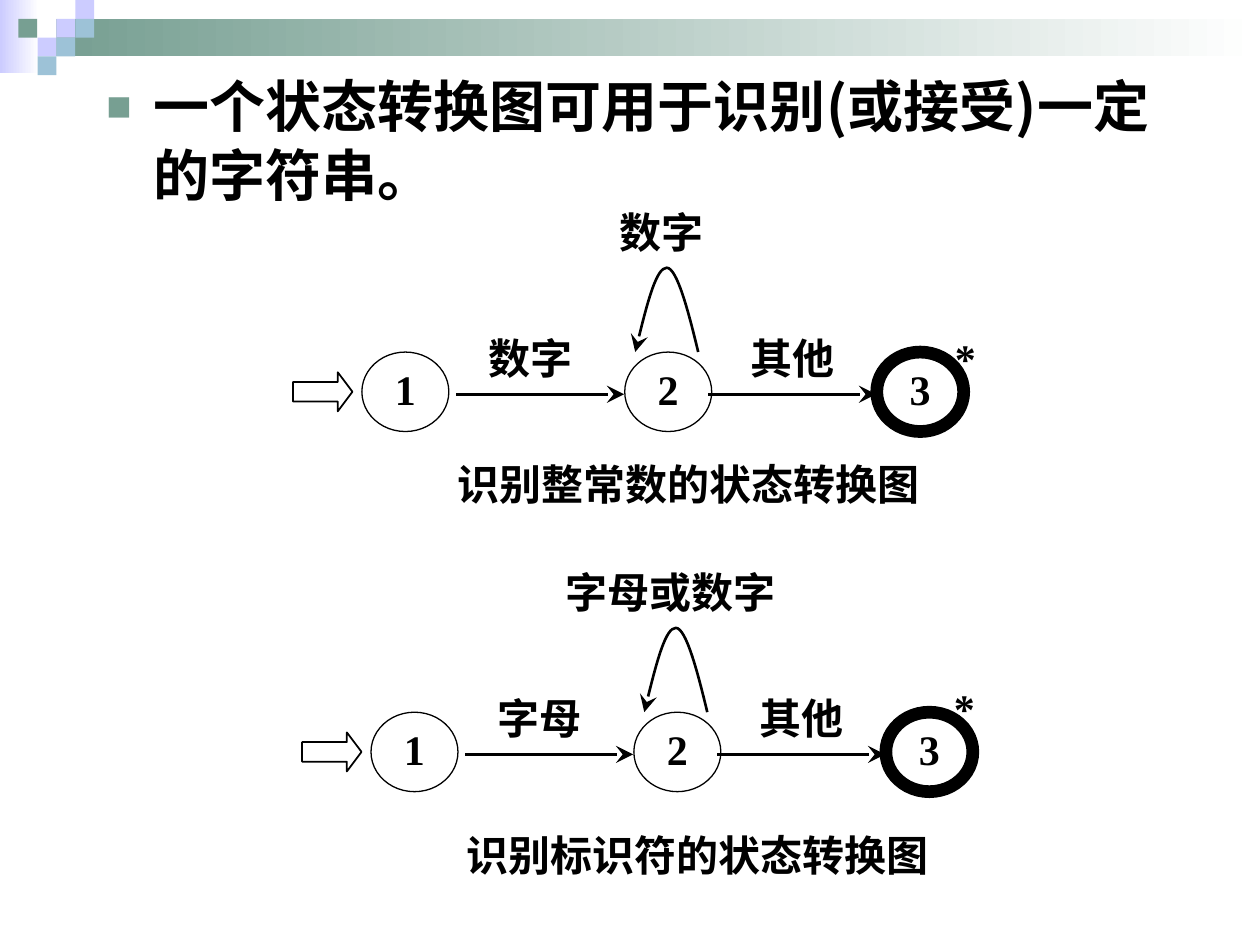
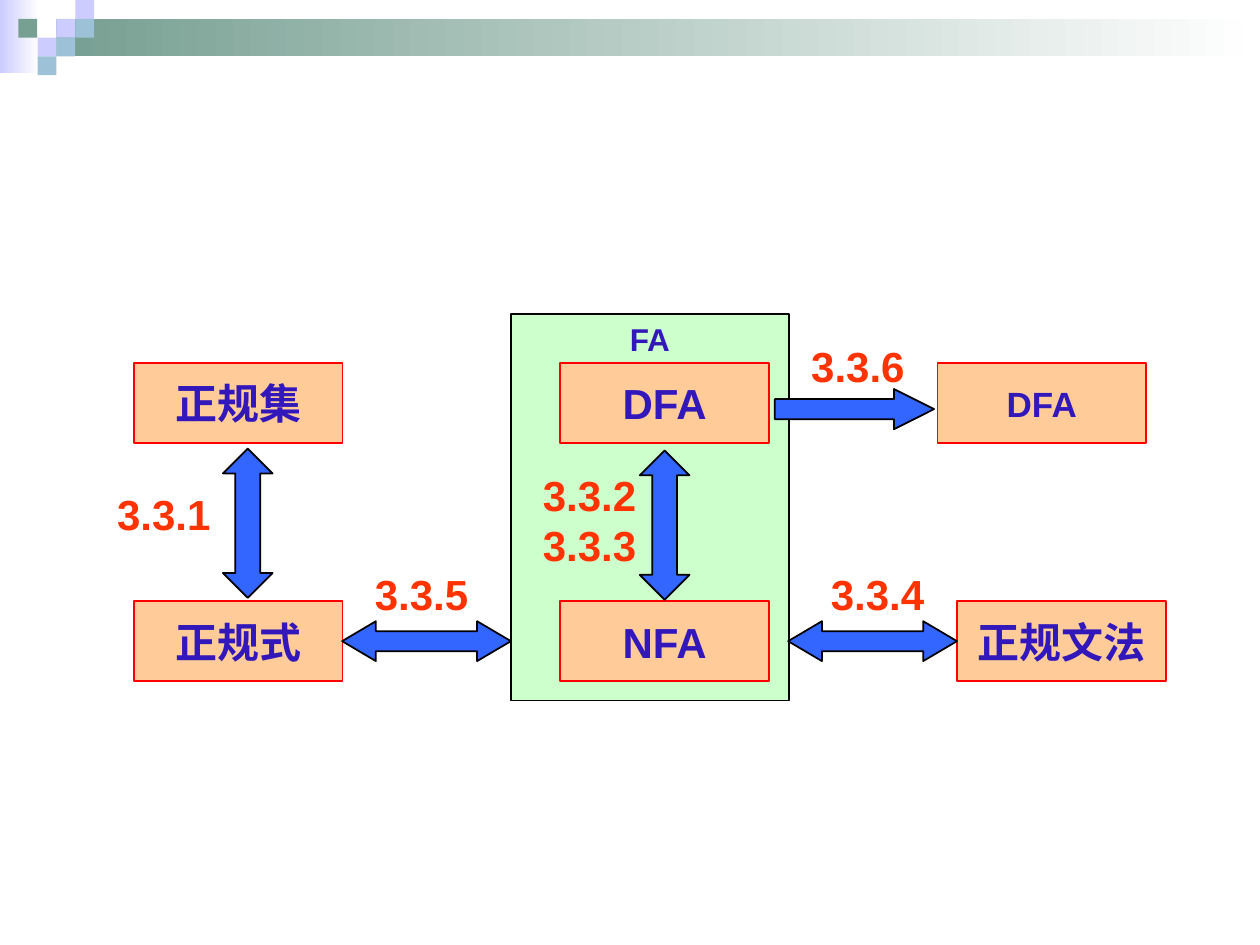
from lxml import etree
from pptx import Presentation
from pptx.dml.color import RGBColor
from pptx.enum import shapes, text
from pptx.oxml import ns
from pptx.util import Pt

BLACK, WHITE, INK = "000000", "FFFFFF", "3217BB"
SAGE, LILAC, SKY = "779F92", "CCCCFF", "9DC2D7"
PEACH, MINT, BLUE, RED, ORANGE = "FFCC99", "CCFFCC", "3366FF", "FF0000", "FF3300"
SERIF, SANS, HAN = "Times New Roman", "Arial", "Noto Sans CJK SC"
SHAPE = shapes.MSO_SHAPE
ANCHOR = text.MSO_ANCHOR
ALIGN = text.PP_ALIGN


def color(code):
    """Turn a hex string into a colour."""
    return RGBColor.from_string(code)


def add_node(parent, tag, **attributes):
    """Append a drawing element to a parent and return it."""
    return etree.SubElement(parent, ns.qn(tag), attributes)


def write(shape, words, *, size=24, font=SERIF, ink=BLACK, align=ALIGN.CENTER,
          anchor=ANCHOR.MIDDLE, inset=(7.2, 3.6), wrap=False):
    """Fill a shape with bold text, one paragraph for each line."""
    frame = shape.text_frame
    frame.word_wrap = wrap
    frame.vertical_anchor = anchor
    frame.margin_left = frame.margin_right = Pt(inset[0])
    frame.margin_top = frame.margin_bottom = Pt(inset[1])
    for index, line in enumerate(words.split("\n")):
        para = frame.add_paragraph() if index else frame.paragraphs[0]
        para.alignment = align
        span = para.add_run()
        span.text = line
        span.font.size, span.font.bold, span.font.name = Pt(size), True, font
        span.font.color.rgb = color(ink)
        add_node(span.font._element, "a:ea", typeface=HAN)
    return frame


def add_box(page, kind, left, top, width, height, *, fill=None, line=None,
            weight=1, adjust=()):
    """Add a preset shape without a shadow."""
    box = page.shapes.add_shape(kind, Pt(left), Pt(top), Pt(width), Pt(height))
    box.shadow.inherit = False
    for index, value in enumerate(adjust):
        box.adjustments[index] = value
    if fill:
        box.fill.solid()
        box.fill.fore_color.rgb = color(fill)
    else:
        box.fill.background()
    if line:
        box.line.color.rgb = color(line)
        box.line.width = Pt(weight)
    else:
        box.line.fill.background()
    return box


def add_label(page, words, left, top, width, height, **style):
    """Add a text box."""
    box = page.shapes.add_textbox(Pt(left), Pt(top), Pt(width), Pt(height))
    return write(box, words, **style)


def add_fade(page, left, top, width, height, start):
    """Add a band that fades to white on the right."""
    band = add_box(page, SHAPE.RECTANGLE, left, top, width, height)
    band.fill.gradient()
    band.fill.gradient_angle = 0
    for stop, code in zip(band.fill.gradient_stops, (start, WHITE)):
        stop.color.rgb = color(code)


def style_arrow(arrow):
    """Give a line its black stroke and large stealth head."""
    arrow.line.color.rgb = color(BLACK)
    arrow.line.width = Pt(1.5)
    add_node(arrow.line._get_or_add_ln(), "a:tailEnd", type="stealth", w="lg", len="lg")


def add_arrow(page, left, right, y):
    """Add a horizontal transition arrow."""
    arrow = page.shapes.add_connector(
        shapes.MSO_CONNECTOR.STRAIGHT, Pt(left), Pt(y), Pt(right), Pt(y))
    style_arrow(arrow)
    add_node(arrow._element.spPr, "a:effectLst")


def add_loop(page, left, top, width, height):
    """Add a bell-shaped arrow that returns to its own state."""
    right, bottom = left + width, top + height
    points = [(left + width * across, top + height * down) for across, down in
              ((0.84, 0.5), (0.66, 0), (0.5, 0), (0.34, 0), (0.16, 0.5), (0, 1))]
    builder = page.shapes.build_freeform(Pt(right), Pt(bottom))
    builder.add_line_segments([(Pt(x), Pt(y)) for x, y in points], close=False)
    loop = builder.convert_to_shape()
    loop.shadow.inherit = False
    loop.fill.background()
    style_arrow(loop)
    outline = loop._element.find(".//" + ns.qn("a:path"))
    segments = outline.findall(ns.qn("a:lnTo"))
    for first in range(0, len(segments), 3):
        curve = add_node(outline, "a:cubicBezTo")
        for segment in segments[first:first + 3]:
            curve.append(segment[0])
            outline.remove(segment)


def add_bullet_text(page, words):
    """Add the square-bulleted statement at the top of a page."""
    frame = add_label(page, words, 53.7, 37, 635.8, 90, size=32, font=HAN,
                      align=ALIGN.LEFT, anchor=ANCHOR.TOP, wrap=True)
    para = frame.paragraphs[0]
    para.line_spacing = Pt(39)
    layout = para._p.get_or_add_pPr()
    layout.set("marL", str(Pt(27)))
    layout.set("indent", str(-Pt(27)))
    add_node(add_node(layout, "a:buClr"), "a:srgbClr", val=SAGE)
    add_node(layout, "a:buSzPct", val="75000")
    add_node(layout, "a:buFont", typeface=SANS)
    add_node(layout, "a:buChar", char="■")


def add_page(deck):
    """Add a blank page with the shared header bands and squares."""
    page = deck.slides.add_slide(deck.slide_layouts[6])
    side = 10.75
    add_fade(page, 0, 0, 22.3, 41.8, LILAC)
    add_fade(page, 3 * side, side, 720 - 3 * side, 21.2, SAGE)
    for column, row, fill in ((3, 1, LILAC), (4, 0, LILAC), (4, 1, SKY), (2, 2, LILAC),
                              (0.97, 1, SAGE), (3, 2, SKY), (2, 3, SKY)):
        add_box(page, SHAPE.RECTANGLE, column * side, row * side, side, side, fill=fill)
    return page


def add_state_diagram(page, left, top, first, repeat, caption, star, caption_drop):
    """Draw a three-state diagram whose first state is at left, top."""
    add_box(page, SHAPE.RIGHT_ARROW, left - 39.4, top + 11.5, 34, 22.3,
            line=BLACK, adjust=(0.5, 0.376))
    for name, offset, weight in (("1", 0, 0.75), ("2", 150.2, 0.75), ("3", 294.2, 7.25)):
        state = add_box(page, SHAPE.OVAL, left + offset, top, 49.7, 45.4,
                        line=BLACK, weight=weight)
        write(state, name, anchor=ANCHOR.TOP, inset=(0, 0))
    for start in (54, 198):
        add_arrow(page, left + start, left + start + 95.8, top + 24.1)
    add_loop(page, left + 156.2, top - 48.2, 36, 48.2)
    for words, across, down, width, height in (
            (first, 56.2, -18, 79.8, 41.8), ("其他", 206.2, -18, 79.8, 41.8),
            (repeat, 104.5, -90, 133.8, 41.8), ("*", *star, 41.8, 30.2),
            (caption, 45.5, caption_drop, 282, 41.8)):
        add_label(page, words, left + across, top + down, width, height, inset=(0, 3.6))


def add_node_box(page, words, left, top, size=24):
    """Add one peach box of the relation map."""
    box = add_box(page, SHAPE.RECTANGLE, left, top, 119.2, 45.8, fill=PEACH, line=RED)
    write(box, words, size=size, font=SANS, ink=INK)


def add_relation_map(page):
    """Draw how regular sets, expressions, grammars and automata relate."""
    upper, lower = 207.4, 343.6
    automata = add_box(page, SHAPE.RECTANGLE, 292, 179.3, 158.7, 221,
                       fill=MINT, line=BLACK)
    write(automata, "FA", size=18, font=SANS, ink=INK, anchor=ANCHOR.TOP)
    for words, left, top in (("正规集", 76.5, upper), ("正规式", 76.5, lower),
                             ("DFA", 320.2, upper), ("NFA", 320.2, lower),
                             ("正规文法", 547, lower)):
        add_node_box(page, words, left, top)
    add_node_box(page, "DFA", 535.7, upper, size=20)
    across, upright = SHAPE.LEFT_RIGHT_ARROW, SHAPE.UP_DOWN_ARROW
    for kind, left, top, width, height, adjust in (
            (across, 195.5, 355, 96.5, 22.8, (0.5, 0.848)),
            (across, 450.4, 355, 96.5, 22.8, (0.5, 0.848)),
            (upright, 127.4, 256.3, 28.4, 85.3, (0.5, 0.6)),
            (upright, 365.6, 257.4, 28.4, 85.3, (0.5, 0.6)),
            (SHAPE.RIGHT_ARROW, 442.8, 222.3, 91, 23, (0.5, 0.998))):
        order = reversed(adjust) if kind == upright else adjust
        add_box(page, kind, left, top, width, height, fill=BLUE, line=BLACK, adjust=order)
    for words, left, top in (("3.3.1", 59.8, 275.8), ("3.3.2\n3.3.3", 303.1, 264.5),
                             ("3.3.4", 467.7, 321.1), ("3.3.5", 207.1, 321.1),
                             ("3.3.6", 456.5, 190.8)):
        add_label(page, words, left, top, 67.7, 36, font=SANS, ink=ORANGE,
                  align=ALIGN.LEFT, anchor=ANCHOR.TOP)


def main():
    """Build and save the deck."""
    deck = Presentation()
    deck.slide_width, deck.slide_height = Pt(720), Pt(540)
    page = add_page(deck)
    add_bullet_text(page, "一个状态转换图可用于识别(或接受)一定的字符串。")
    add_state_diagram(page, 206.8, 201.2, "数字", "数字", "识别整常数的状态转换图",
                      (324, -12), 54.4)
    add_state_diagram(page, 212, 407, "字母", "字母或数字", "识别标识符的状态转换图",
                      (318.2, -18), 60.5)
    add_relation_map(add_page(deck))
    deck.save("out.pptx")


if __name__ == "__main__":
    main()
